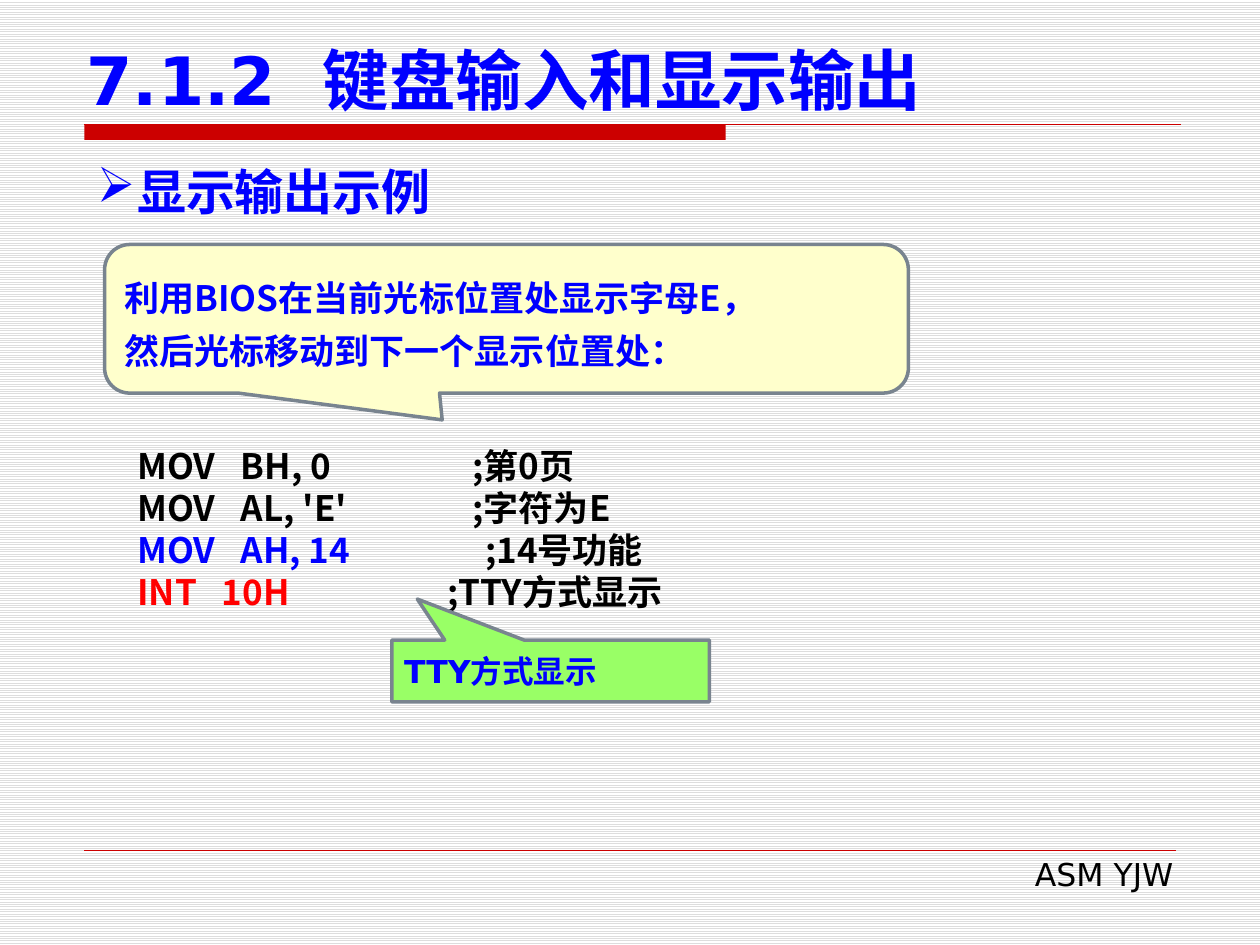
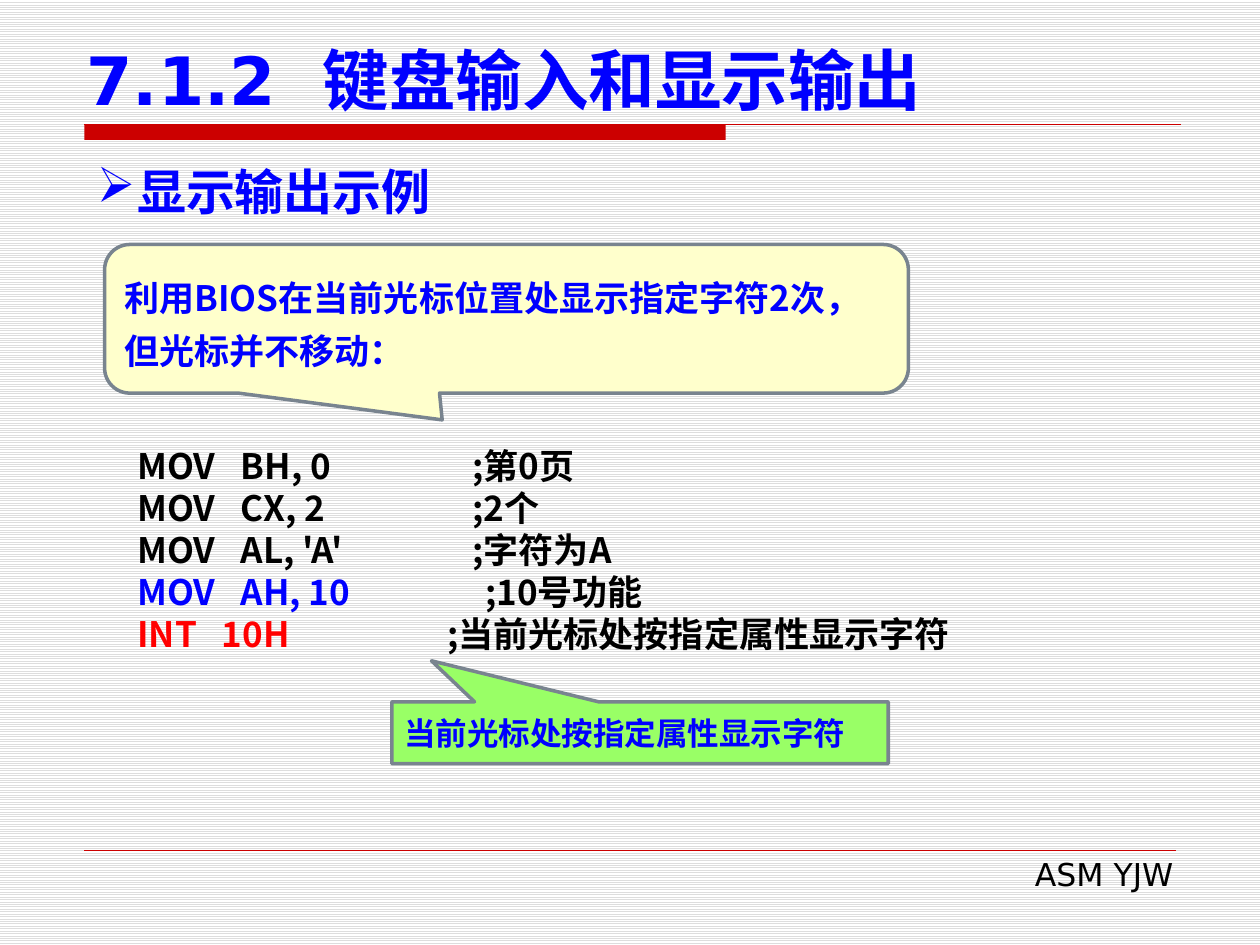
from lxml import etree
from pptx import Presentation
from pptx.dml.color import RGBColor
from pptx.enum.dml import MSO_PATTERN_TYPE
from pptx.enum.shapes import MSO_CONNECTOR, MSO_SHAPE
from pptx.enum.text import MSO_ANCHOR, PP_ALIGN
from pptx.oxml.ns import qn
from pptx.util import Inches, Pt

STRIPES = MSO_PATTERN_TYPE.LIGHT_HORIZONTAL
STRAIGHT = MSO_CONNECTOR.STRAIGHT
RECTANGLE = MSO_SHAPE.RECTANGLE
RECT_CALLOUT = MSO_SHAPE.RECTANGULAR_CALLOUT
ROUND_CALLOUT = MSO_SHAPE.ROUNDED_RECTANGULAR_CALLOUT
LEFT, RIGHT, JUSTIFY = PP_ALIGN.LEFT, PP_ALIGN.RIGHT, PP_ALIGN.JUSTIFY
TOP, MIDDLE, BOTTOM = MSO_ANCHOR.TOP, MSO_ANCHOR.MIDDLE, MSO_ANCHOR.BOTTOM

BLUE, RED, BLACK = "0000FF", "FF0000", "000000"
BAND, BORDER = "CC0000", "79848F"
CREAM, GREEN = "FFFFCC", "99FF66"
LATIN, HAN = "DejaVu Sans", "Noto Sans CJK SC"

TITLE_FONT = {"name": LATIN, "size": Pt(38), "bold": True}
HEADING_FONT = {"name": LATIN, "size": Pt(28), "bold": True}
BODY_FONT = {"name": HAN, "size": Pt(20), "bold": True}
LABEL_FONT = {"name": LATIN, "size": Pt(18), "bold": True}
FOOTER_FONT = {"name": LATIN, "size": Pt(18), "bold": False}

CODE_TABS = {BLACK: (0.82, 2.66), BLUE: (0.82, 2.76), RED: (0.67, 2.46)}
CODE_LINE_HEIGHT = 0.335

EXAMPLES = [
    {
        "task": ["利用BIOS在当前光标位置处显示字母E,".replace(",", "，"),
                 "然后光标移动到下一个显示位置处："],
        "code": [("MOV", "BH, 0", ";第0页", BLACK),
                 ("MOV", "AL, 'E'", ";字符为E", BLACK),
                 ("MOV", "AH, 14", ";14号功能", BLUE),
                 ("INT", "10H", ";TTY方式显示", RED)],
        "label": "TTY方式显示",
        "label_box": (3.11, 5.08, 2.52, 0.49),
    },
    {
        "task": ["利用BIOS在当前光标位置处显示指定字符2次，",
                 "但光标并不移动："],
        "code": [("MOV", "BH, 0", ";第0页", BLACK),
                 ("MOV", "CX, 2", ";2个", BLACK),
                 ("MOV", "AL, 'A'", ";字符为A", BLACK),
                 ("MOV", "AH, 10", ";10号功能", BLUE),
                 ("INT", "10H", ";当前光标处按指定属性显示字符", RED)],
        "label": "当前光标处按指定属性显示字符",
        "label_box": (3.11, 5.57, 3.94, 0.49),
    },
]


def rgb(value):
    return RGBColor.from_string(value)


def inches(box):
    return [Inches(length) for length in box]


def add_run(paragraph, text, font, color):
    run = paragraph.add_run()
    run.text = text
    for attribute, value in font.items():
        setattr(run.font, attribute, value)
    run.font.color.rgb = rgb(color)
    east_asian = etree.SubElement(run.font._element, qn("a:ea"))
    east_asian.set("typeface", HAN)


def write_lines(frame, lines, font, color, align=LEFT, anchor=TOP, spacing=None):
    frame.word_wrap = True
    frame.vertical_anchor = anchor
    for index, line in enumerate(lines):
        paragraph = frame.add_paragraph() if index else frame.paragraphs[0]
        paragraph.alignment = align
        paragraph.line_spacing = spacing
        add_run(paragraph, line, font, color)


def add_text(slide, box, text, font, color, **layout):
    frame = slide.shapes.add_textbox(*inches(box)).text_frame
    write_lines(frame, [text], font, color, **layout)
    return frame.paragraphs[0]


def add_rule(slide, left, right, y, width):
    rule = slide.shapes.add_connector(STRAIGHT, *inches((left, y, right, y)))
    rule.line.color.rgb = rgb(BAND)
    rule.line.width = Pt(width)
    etree.SubElement(rule._element.spPr, qn("a:effectLst"))


def add_filled(slide, preset, box, fill):
    filled = slide.shapes.add_shape(preset, *inches(box))
    filled.shadow.inherit = False
    filled.fill.solid()
    filled.fill.fore_color.rgb = rgb(fill)
    return filled


def add_callout(slide, preset, box, adjustments, fill, lines, font, spacing=None):
    callout = add_filled(slide, preset, box, fill)
    callout.line.color.rgb = rgb(BORDER)
    callout.line.width = Pt(2)
    for index, value in enumerate(adjustments):
        callout.adjustments[index] = value
    write_lines(callout.text_frame, lines, font, BLUE, anchor=MIDDLE, spacing=spacing)


def add_heading(slide, text):
    heading = add_text(slide, (0.67, 1.23, 8.66, 0.57), text, HEADING_FONT, BLUE,
                       align=JUSTIFY)
    properties = heading._p.get_or_add_pPr()
    properties.set("marL", str(Inches(0.32)))
    properties.set("indent", str(-Inches(0.32)))
    etree.SubElement(properties, qn("a:buChar")).set("char", "➢")


def add_code(slide, code):
    box = (0.74, 3.48, 9.06, 0.1 + CODE_LINE_HEIGHT * len(code))
    frame = slide.shapes.add_textbox(*inches(box)).text_frame
    frame.word_wrap = True
    frame.margin_left = Inches(0.35)
    for index, (mnemonic, operands, comment, color) in enumerate(code):
        paragraph = frame.add_paragraph() if index else frame.paragraphs[0]
        tabs = etree.SubElement(paragraph._p.get_or_add_pPr(), qn("a:tabLst"))
        for position in CODE_TABS[color]:
            tab = etree.SubElement(tabs, qn("a:tab"))
            tab.set("pos", str(Inches(position)))
            tab.set("algn", "l")
        add_run(paragraph, f"{mnemonic}\t{operands}\t", BODY_FONT, color)
        add_run(paragraph, comment, BODY_FONT, BLACK)


def add_frame(slide):
    add_filled(slide, RECTANGLE, (0.67, 0.99, 5.09, 0.12), BAND).line.fill.background()
    add_rule(slide, 0.67, 9.37, 0.99, 0.75)
    add_rule(slide, 0.67, 9.33, 6.75, 0.25)
    add_text(slide, (3.82, 6.74, 5.59, 0.4), "ASM YJW", FOOTER_FONT, BLACK, align=RIGHT)
    add_text(slide, (0.59, 0.28, 9.06, 0.71), "7.1.2  键盘输入和显示输出",
             TITLE_FONT, BLUE, anchor=BOTTOM)


def add_example(slide, example):
    add_heading(slide, "显示输出示例")
    add_callout(slide, ROUND_CALLOUT, (0.83, 1.94, 6.38, 1.18), (-0.08, 0.68, 0.17),
                CREAM, example["task"], BODY_FONT, spacing=Pt(30))
    add_code(slide, example["code"])
    add_callout(slide, RECT_CALLOUT, example["label_box"], (-0.42, -1.165),
                GREEN, [example["label"]], LABEL_FONT)


def set_background(master):
    fill = master.background.fill
    fill.patterned()
    fill.pattern = STRIPES
    fill.fore_color.rgb = rgb("DDDDDD")
    fill.back_color.rgb = rgb("FFFFFF")


def main():
    deck = Presentation()
    deck.slide_width, deck.slide_height = inches((10, 7.5))
    set_background(deck.slide_master)
    for example in EXAMPLES:
        slide = deck.slides.add_slide(deck.slide_layouts[6])
        add_frame(slide)
        add_example(slide, example)
    deck.save("out.pptx")


main()
